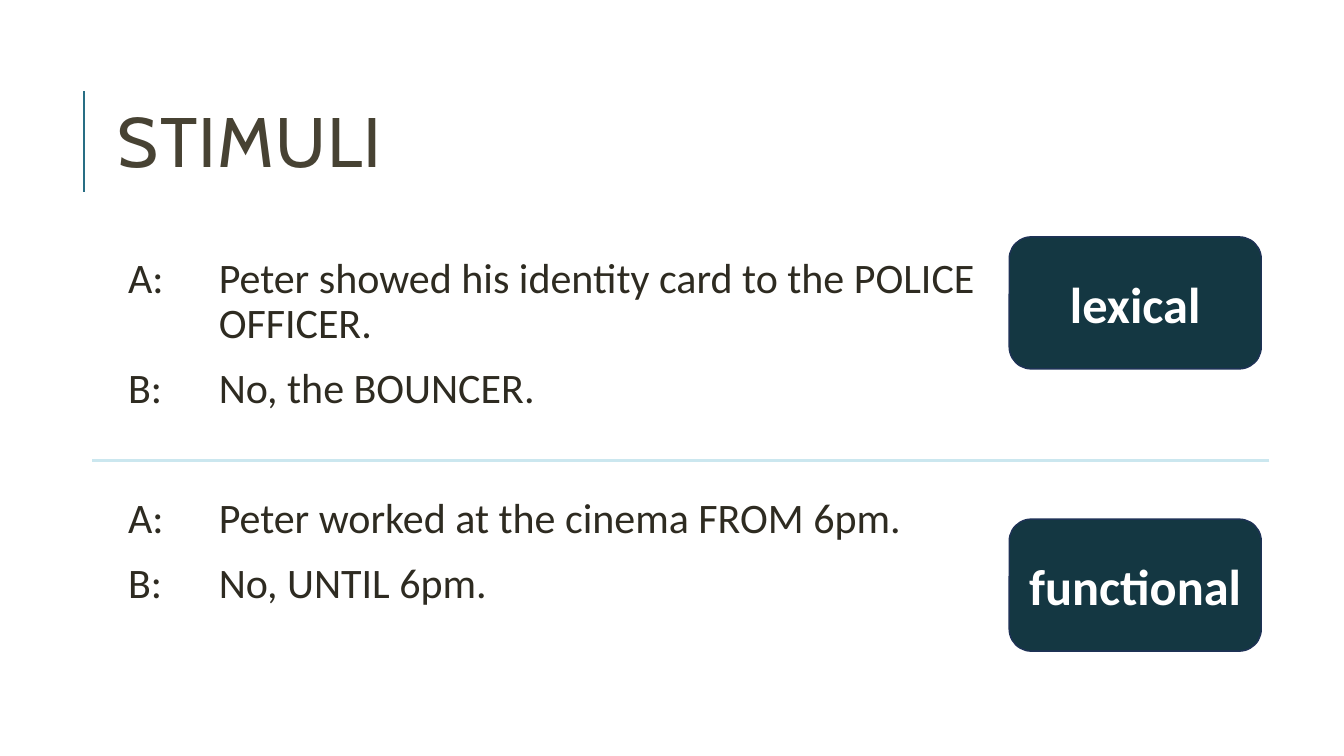
"""Build the stimuli slide with lexical and functional example dialogues."""
from dataclasses import dataclass

from lxml.etree import SubElement
from pptx import Presentation
from pptx.dml.color import RGBColor
from pptx.enum.shapes import MSO_CONNECTOR, MSO_SHAPE
from pptx.enum.text import MSO_ANCHOR, PP_ALIGN
from pptx.oxml.ns import qn
from pptx.util import Inches, Pt

TITLE = "STIMULI"
STIMULI = [
    {"label": "lexical", "text_top": 2.5, "badge_top": 2.35, "turns": [
        ("A:", "Peter showed his identity card to the POLICE\vOFFICER."),
        ("B:", "No, the BOUNCER.")]},
    {"label": "functional", "text_top": 4.88, "badge_top": 5.15, "turns": [
        ("A:", "Peter worked at the cinema FROM 6pm."),
        ("B:", "No, UNTIL 6pm.")]},
]
TEXT_LEFT, TEXT_WIDTH = 1.12, 10.63
DIALOGUE_HEIGHT = 1.8
BADGE_LEFT, BADGE_WIDTH, BADGE_HEIGHT = 10.01, 2.5, 1.31


@dataclass(frozen=True)
class Theme:
    """Colours, fonts and type sizes."""
    title_font: str = "Cabin"
    body_font: str = "Calibri"
    title_size: int = 50
    body_size: int = 30
    badge_size: int = 36
    title: str = "474233"
    body: str = "2E2B21"
    accent: str = "286E84"
    divider: str = "CBE7EF"
    badge: str = "143742"
    badge_line: str = "1E3256"
    badge_text: str = "FFFFFF"


THEME = Theme()


def format_runs(paragraph, font, size, color, bold=False):
    """Apply one type style to every run."""
    for run in paragraph.runs:
        run.font.name = font
        run.font.size = Pt(size)
        run.font.bold = bold
        run.font.color.rgb = RGBColor.from_string(color)


def add_rule(slide, start, end, color, width):
    """Draw a straight line without a shadow."""
    points = [Inches(value) for value in (*start, *end)]
    connector = slide.shapes.add_connector(MSO_CONNECTOR.STRAIGHT, *points)
    connector.line.color.rgb = RGBColor.from_string(color)
    connector.line.width = Pt(width)
    SubElement(connector._element.spPr, qn("a:effectLst"))


def add_text_frame(slide, top, height):
    """Add a wrapping text box in the text column."""
    box = slide.shapes.add_textbox(
        Inches(TEXT_LEFT), Inches(top), Inches(TEXT_WIDTH), Inches(height))
    frame = box.text_frame
    frame.word_wrap = True
    frame.margin_left = frame.margin_right = Inches(0.05)
    frame.margin_top = frame.margin_bottom = Inches(0.05)
    return frame


def add_title(slide):
    """Add the letter-spaced title."""
    frame = add_text_frame(slide, 0.64, 1.64)
    frame.vertical_anchor = MSO_ANCHOR.MIDDLE
    frame.text = TITLE
    paragraph = frame.paragraphs[0]
    paragraph.line_spacing = 0.8
    format_runs(paragraph, THEME.title_font, THEME.title_size, THEME.title)
    paragraph.runs[0].font._element.set("spc", "100")


def add_dialogue(slide, top, turns):
    """Add speaker turns with a hanging indent."""
    frame = add_text_frame(slide, top, DIALOGUE_HEIGHT)
    frame.text = "\n".join(f"{speaker}\t{line}" for speaker, line in turns)
    for paragraph in frame.paragraphs:
        paragraph.line_spacing = 0.9
        paragraph.space_before = Pt(12)
        paragraph.space_after = Pt(2)
        properties = paragraph._p.get_or_add_pPr()
        properties.set("marL", str(Inches(1)))
        properties.set("indent", str(Inches(-0.9)))
        format_runs(paragraph, THEME.body_font, THEME.body_size, THEME.body)


def add_badge(slide, top, label):
    """Add a rounded category badge."""
    shape = slide.shapes.add_shape(
        MSO_SHAPE.ROUNDED_RECTANGLE, Inches(BADGE_LEFT), Inches(top),
        Inches(BADGE_WIDTH), Inches(BADGE_HEIGHT))
    shape.shadow.inherit = False
    shape.fill.solid()
    shape.fill.fore_color.rgb = RGBColor.from_string(THEME.badge)
    shape.line.color.rgb = RGBColor.from_string(THEME.badge_line)
    shape.line.width = Pt(1)
    shape.text_frame.text = label
    shape.text_frame.vertical_anchor = MSO_ANCHOR.MIDDLE
    paragraph = shape.text_frame.paragraphs[0]
    paragraph.alignment = PP_ALIGN.CENTER
    format_runs(paragraph, THEME.body_font, THEME.badge_size,
                THEME.badge_text, bold=True)


def main():
    """Assemble and save the slide."""
    presentation = Presentation()
    presentation.slide_width = Inches(13.33)
    presentation.slide_height = Inches(7.5)
    slide = presentation.slides.add_slide(presentation.slide_layouts[6])
    add_rule(slide, (0.83, 1.9), (0.83, 0.9), THEME.accent, 1.5)
    add_title(slide)
    add_rule(slide, (12.59, 4.57), (0.91, 4.57), THEME.divider, 2.25)
    for stimulus in STIMULI:
        add_dialogue(slide, stimulus["text_top"], stimulus["turns"])
        add_badge(slide, stimulus["badge_top"], stimulus["label"])
    presentation.save("out.pptx")


if __name__ == "__main__":
    main()
